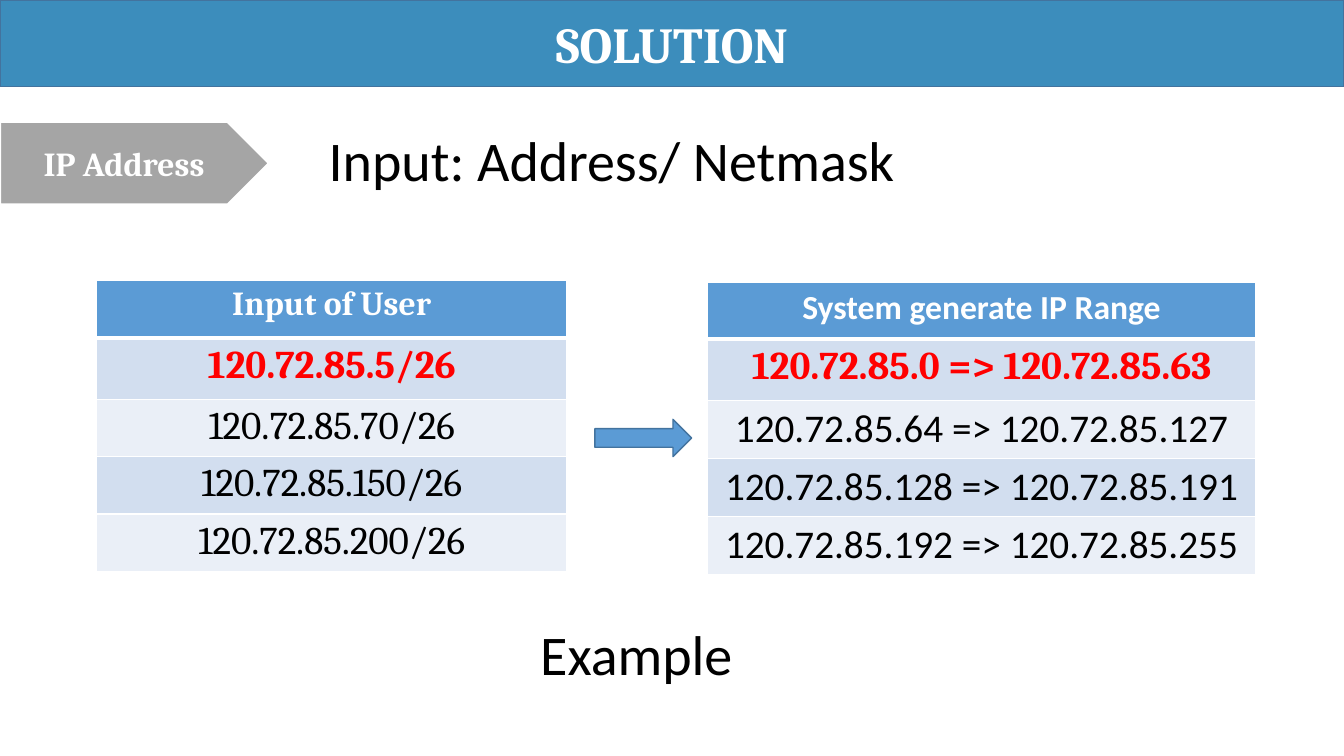
import lxml.etree
import pptx
import pptx.dml.color
import pptx.enum.shapes
import pptx.enum.text
import pptx.oxml.ns
import pptx.util

RGBColor = pptx.dml.color.RGBColor
WHITE = RGBColor(0xFF, 0xFF, 0xFF)
BLACK = RGBColor(0x00, 0x00, 0x00)
RED = RGBColor(0xFF, 0x00, 0x00)
BANNER_BLUE = RGBColor(0x3C, 0x8D, 0xBC)
BLUE = RGBColor(0x5B, 0x9B, 0xD5)
OUTLINE_BLUE = RGBColor(0x43, 0x73, 0x9E)
GRAY = RGBColor(0xA5, 0xA5, 0xA5)
BANDS = (RGBColor(0xD2, 0xDE, 0xEF), RGBColor(0xEA, 0xEF, 0xF7))

SHAPES = pptx.enum.shapes.MSO_SHAPE
ALIGN = pptx.enum.text.PP_ALIGN
ANCHOR = pptx.enum.text.MSO_ANCHOR


def write_text(frame, text, size=28, font="Calibri", color=BLACK, bold=False, align=ALIGN.CENTER):
    para = frame.paragraphs[0]
    para.alignment = align
    span = para.add_run()
    span.text = text
    span.font.size = pptx.util.Pt(size)
    span.font.name = font
    span.font.bold = bold
    span.font.color.rgb = color


def draw_borders(cell, top, bottom):
    properties = cell._tc.get_or_add_tcPr()
    for side, width in (("L", 1), ("R", 1), ("T", top), ("B", bottom)):
        line = lxml.etree.SubElement(
            properties, pptx.oxml.ns.qn(f"a:ln{side}"), w=str(pptx.util.Pt(width)))
        fill = lxml.etree.SubElement(line, pptx.oxml.ns.qn("a:solidFill"))
        lxml.etree.SubElement(fill, pptx.oxml.ns.qn("a:srgbClr"), val=str(WHITE))


class SlideBuilder:
    heading = {"font": "Cambria", "color": WHITE, "bold": True}

    def __init__(self, deck):
        self.deck = deck
        self.page = deck.slides.add_slide(deck.slide_layouts[6])

    def across(self, percent):
        return round(self.deck.slide_width * percent / 100)

    def down(self, percent):
        return round(self.deck.slide_height * percent / 100)

    def place(self, left, top, width, height):
        return self.across(left), self.down(top), self.across(width), self.down(height)

    def shape(self, kind, area, fill, line, line_width=1, text=None, size=24):
        shape = self.page.shapes.add_shape(kind, *self.place(*area))
        shape.shadow.inherit = False
        shape.fill.solid()
        shape.fill.fore_color.rgb = fill
        shape.line.color.rgb = line
        shape.line.width = pptx.util.Pt(line_width)
        if text:
            shape.text_frame.vertical_anchor = ANCHOR.MIDDLE
            write_text(shape.text_frame, text, size=size, **self.heading)

    def label(self, area, text):
        box = self.page.shapes.add_textbox(*self.place(*area))
        box.text_frame.word_wrap = True
        write_text(box.text_frame, text, size=40, align=ALIGN.LEFT)

    def table(self, left, top, width, row_height, texts, font):
        heights = [row_height, 8.13] + [row_height] * (len(texts) - 2)
        area = self.place(left, top, width, sum(heights))
        table = self.page.shapes.add_table(len(texts), 1, *area).table
        for index, (text, height) in enumerate(zip(texts, heights)):
            table.rows[index].height = self.down(height)
            cell = table.cell(index, 0)
            draw_borders(cell, top=3 if index == 1 else 1, bottom=3 if index == 0 else 1)
            cell.fill.solid()
            if index == 0:
                cell.fill.fore_color.rgb = BLUE
                style = {**self.heading, "font": font, "size": 24}
            else:
                cell.fill.fore_color.rgb = BANDS[(index - 1) % 2]
                style = {"font": font}
            if index == 1:
                style = {"font": "Cambria", "color": RED, "bold": True}
            write_text(cell.text_frame, text, **style)


def main():
    deck = pptx.Presentation()
    deck.slide_width = pptx.util.Inches(13.33)
    deck.slide_height = pptx.util.Inches(7.5)
    solution = SlideBuilder(deck)

    solution.shape(SHAPES.RECTANGLE, (0, 0, 100, 11.47), BANNER_BLUE, OUTLINE_BLUE,
                   text="SOLUTION", size=36)
    solution.shape(SHAPES.PENTAGON, (0, 16.13, 20, 10.93), GRAY, WHITE,
                   line_width=1.5, text="IP Address")
    solution.table(7.2, 37.07, 34.96, 7.6, [
        "Input of User",
        "120.72.85.5/26",
        "120.72.85.70/26",
        "120.72.85.150/26",
        "120.72.85.200/26",
    ], font="Cambria")
    solution.table(52.66, 37.33, 40.73, 7.5, [
        "System generate IP Range",
        "120.72.85.0 => 120.72.85.63",
        "120.72.85.64 => 120.72.85.127",
        "120.72.85.128 => 120.72.85.191",
        "120.72.85.192 => 120.72.85.255",
    ], font="Calibri")
    solution.shape(SHAPES.RIGHT_ARROW, (44.26, 55.47, 7.2, 4.93), BLUE, OUTLINE_BLUE)
    solution.label((39.46, 81.33, 16.8, 10.27), "Example")
    solution.label((23.71, 16, 48.24, 10.27), "Input: Address/ Netmask")
    deck.save("out.pptx")


if __name__ == "__main__":
    main()
